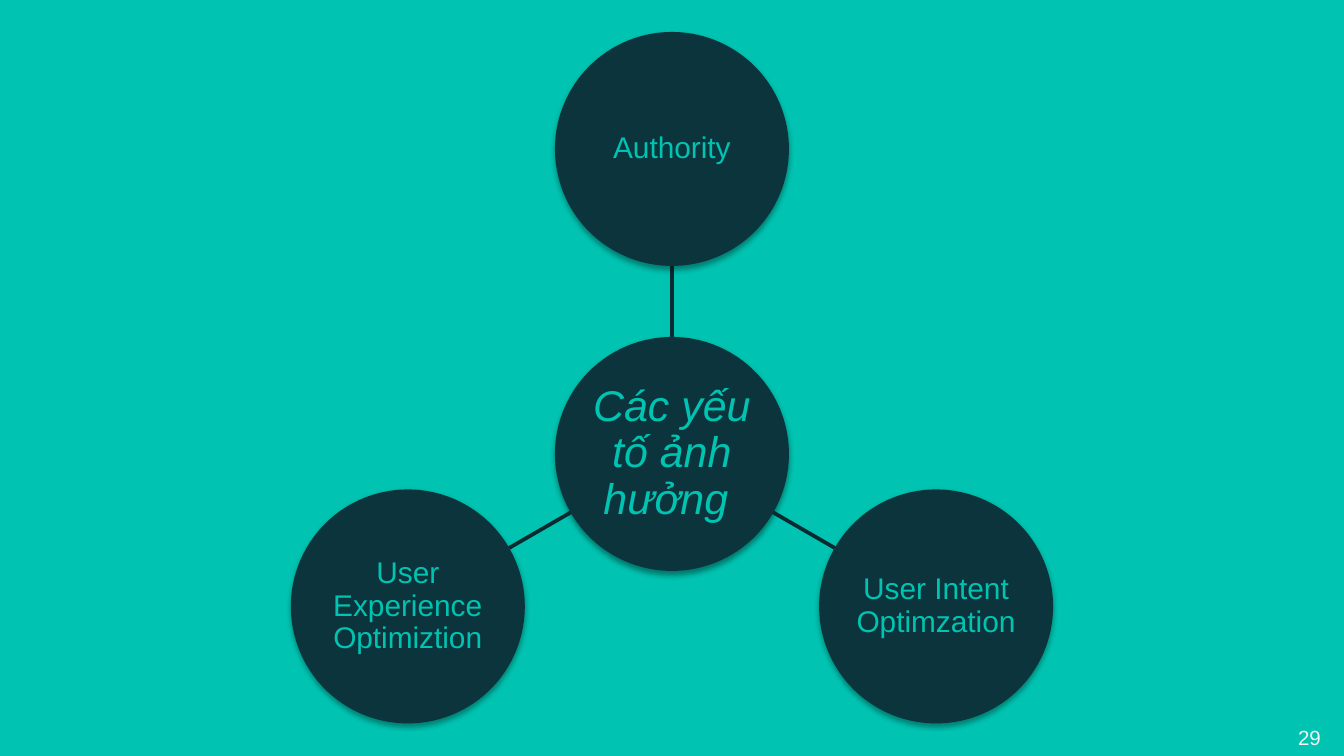
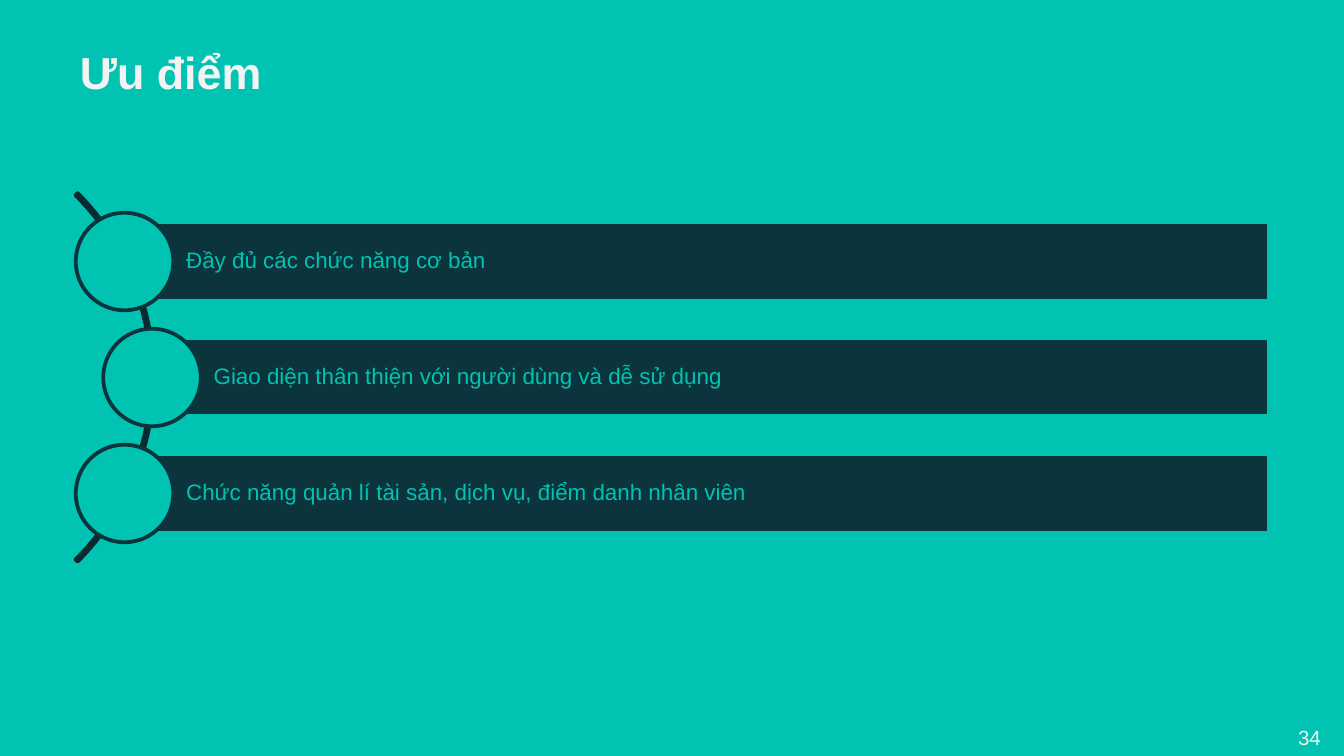
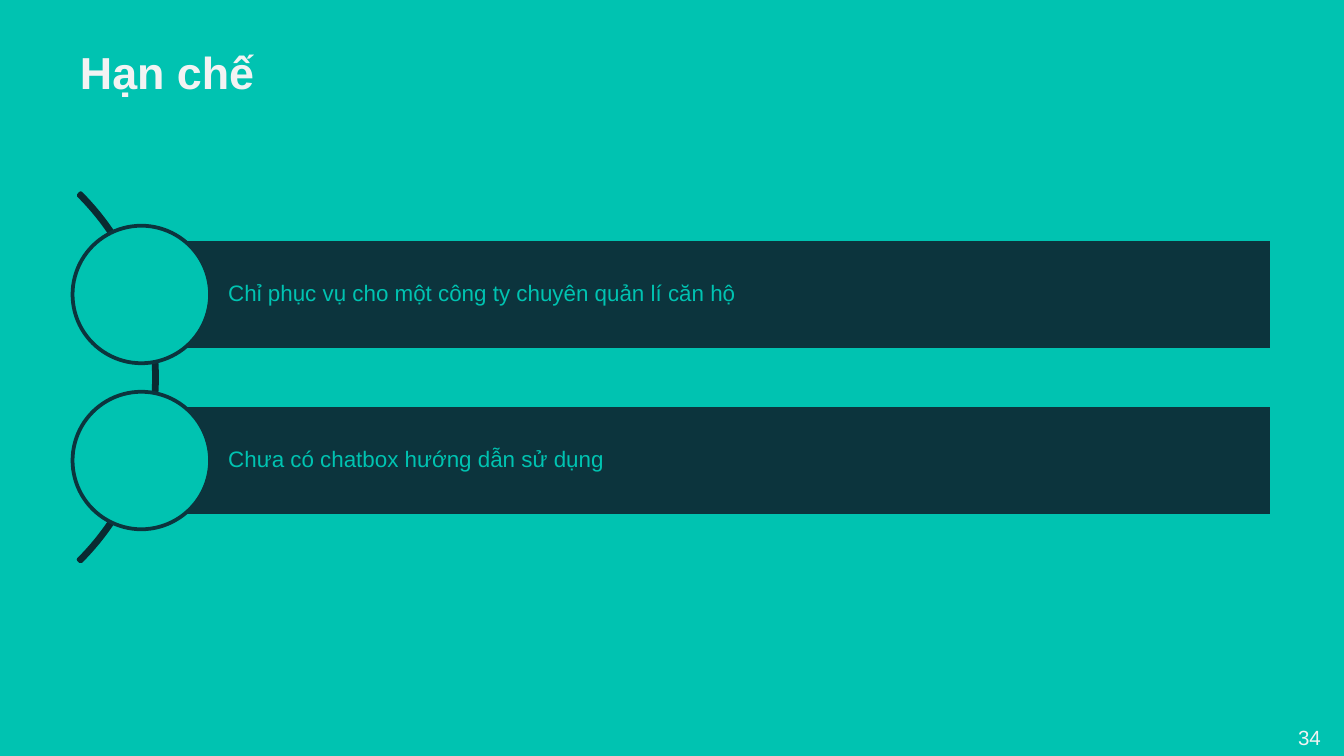
from math import cos, radians, sin, sqrt

from lxml import etree
from pptx import Presentation
from pptx.dml.color import RGBColor
from pptx.enum.shapes import MSO_CONNECTOR, MSO_SHAPE
from pptx.enum.text import MSO_ANCHOR, PP_ALIGN
from pptx.oxml.ns import qn
from pptx.util import Emu, Pt

LEFT, CENTER = PP_ALIGN.LEFT, PP_ALIGN.CENTER
TOP, MIDDLE = MSO_ANCHOR.TOP, MSO_ANCHOR.MIDDLE
STRAIGHT = MSO_CONNECTOR.STRAIGHT
OVAL, RECTANGLE, BLOCK_ARC = MSO_SHAPE.OVAL, MSO_SHAPE.RECTANGLE, MSO_SHAPE.BLOCK_ARC

TEAL = RGBColor(0x00, 0xC3, 0xB1)
NAVY = RGBColor(0x0C, 0x34, 0x3D)
DEEP_NAVY = RGBColor(0x0A, 0x2A, 0x31)
OFF_WHITE = RGBColor(0xF3, 0xF3, 0xF3)

FONT = "Arial"
EMU_PER_PX = 914400 / 134.4
PAGE_WIDTH, PAGE_HEIGHT = 1344, 756
TITLE_BOX = (67, 32, 507, 85)
NUMBER_BOX = (1285, 718, 59, 39)
ARC_SIZE, ARC_THICKNESS, ARC_INSET = 521, 3, 2


def px(length):
    """Convert pixels to EMU."""
    return Emu(round(length * EMU_PER_PX))


def write(shape, text, size, color, align=LEFT, anchor=TOP, insets=(13, 7, 13, 7),
          spacing=None, bold=False, italic=False):
    """Put one styled paragraph into a shape."""
    frame = shape.text_frame
    frame.word_wrap = True
    frame.vertical_anchor = anchor
    (frame.margin_left, frame.margin_top,
     frame.margin_right, frame.margin_bottom) = map(px, insets)
    para = frame.paragraphs[0]
    para.text = text
    para.alignment = align
    para.line_spacing = spacing
    font = para.font
    font.name, font.size, font.bold, font.italic = FONT, Pt(size), bold, italic
    font.color.rgb = color


def add_figure(page, kind, box, fill=None, line=None):
    """Add a preset shape with an optional fill and 2 pt outline."""
    shape = page.shapes.add_shape(kind, *map(px, box))
    shape.shadow.inherit = False
    if fill is None:
        shape.fill.background()
    else:
        shape.fill.solid()
        shape.fill.fore_color.rgb = fill
    if line is None:
        shape.line.fill.background()
    else:
        shape.line.color.rgb = line
        shape.line.width = Pt(2)
    return shape


def add_disc(page, center_x, center_y, diameter, fill, line=None):
    """Add a circle around a center point."""
    radius = diameter / 2
    box = (center_x - radius, center_y - radius, diameter, diameter)
    return add_figure(page, OVAL, box, fill, line)


def add_soft_shadow(shape, opacity):
    """Give a shape a soft shadow that falls straight down."""
    effects = shape._element.spPr.find(qn("a:effectLst"))
    shadow = etree.SubElement(effects, qn("a:outerShdw"), blurRad=str(Pt(3.1)),
                              dist=str(Pt(1.8)), dir="5400000", rotWithShape="0")
    color = etree.SubElement(shadow, qn("a:srgbClr"), val="000000")
    etree.SubElement(color, qn("a:alpha"), val=str(opacity * 1000))


def add_spoke(page, start, end):
    """Draw a plain line between two points."""
    spoke = page.shapes.add_connector(STRAIGHT, *map(px, (*start, *end)))
    spoke.line.color.rgb = DEEP_NAVY
    spoke.line.width = Pt(2)
    etree.SubElement(spoke._element.spPr, qn("a:effectLst"))


def add_page(deck, number, title=None):
    """Add a teal page with its number and optional title."""
    page = deck.slides.add_slide(deck.slide_layouts[6])
    page.background.fill.solid()
    page.background.fill.fore_color.rgb = TEAL
    if title:
        title_box = page.shapes.add_textbox(*map(px, TITLE_BOX))
        write(title_box, title, 24, OFF_WHITE, insets=(13, 13, 13, 13), bold=True)
    number_box = page.shapes.add_textbox(*map(px, NUMBER_BOX))
    write(number_box, str(number), 11, OFF_WHITE)
    return page


def add_wheel(page, center, diameter, distance, hub_text, labels):
    """Draw a hub with labelled discs spread evenly around it."""
    def point(angle, reach):
        return center[0] + reach * cos(angle), center[1] + reach * sin(angle)

    hub = add_disc(page, *center, diameter, NAVY)
    add_soft_shadow(hub, 38)
    write(hub, hub_text, 23, TEAL, CENTER, MIDDLE, (3, 3, 3, 3), 0.9, italic=True)
    for index, label in enumerate(labels):
        angle = radians(360 * index / len(labels) - 90)
        add_spoke(page, point(angle, diameter / 2), point(angle, distance - diameter / 2))
        disc = add_disc(page, *point(angle, distance), diameter, NAVY)
        add_soft_shadow(disc, 35)
        write(disc, label, 16, TEAL, CENTER, MIDDLE, (1, 1, 1, 1), 0.9)


def add_curved_list(page, arc_left, arc_top, right, bar_height, step, labels):
    """Draw bars whose discs follow the right side of an arc."""
    arc = add_figure(page, BLOCK_ARC, (arc_left, arc_top, ARC_SIZE, ARC_SIZE), line=DEEP_NAVY)
    for index, value in enumerate((189, 27, ARC_THICKNESS / ARC_SIZE)):
        arc.adjustments[index] = value
    radius = ARC_SIZE / 2
    for index, label in enumerate(labels):
        offset = step * (index - (len(labels) - 1) / 2)
        x = arc_left + radius + sqrt((radius - ARC_INSET) ** 2 - offset ** 2)
        y = arc_top + radius + offset
        box = (x, y - bar_height / 2, right - x, bar_height)
        bar = add_figure(page, RECTANGLE, box, NAVY, TEAL)
        write(bar, label, 12, TEAL, anchor=MIDDLE,
              insets=(0.79 * bar_height, 4, 4, 4), spacing=0.9)
        add_disc(page, x, y, 1.25 * bar_height, TEAL, NAVY)


def main():
    """Build and save the deck."""
    deck = Presentation()
    deck.slide_width, deck.slide_height = px(PAGE_WIDTH), px(PAGE_HEIGHT)

    factors = add_page(deck, 29)
    add_wheel(factors, (672, 454), 234, 305, "Các yếu tố ảnh hưởng ",
              ["Authority", "User Intent Optimzation", "User Experience\nOptimiztion"])

    strengths = add_page(deck, 34, "Ưu điểm")
    add_curved_list(strengths, -367, 117, 1269, 78, 116, [
        "Đầy đủ các chức năng cơ bản",
        "Giao diện thân thiện với người dùng và dễ sử dụng",
        "Chức năng quản lí tài sản, dịch vụ, điểm danh nhân viên",
    ])

    limits = add_page(deck, 34, "Hạn chế")
    add_curved_list(limits, -364, 117, 1272, 110, 166, [
        "Chỉ phục vụ cho một công ty chuyên quản lí căn hộ",
        "Chưa có chatbox hướng dẫn sử dụng",
    ])

    deck.save("out.pptx")


if __name__ == "__main__":
    main()
